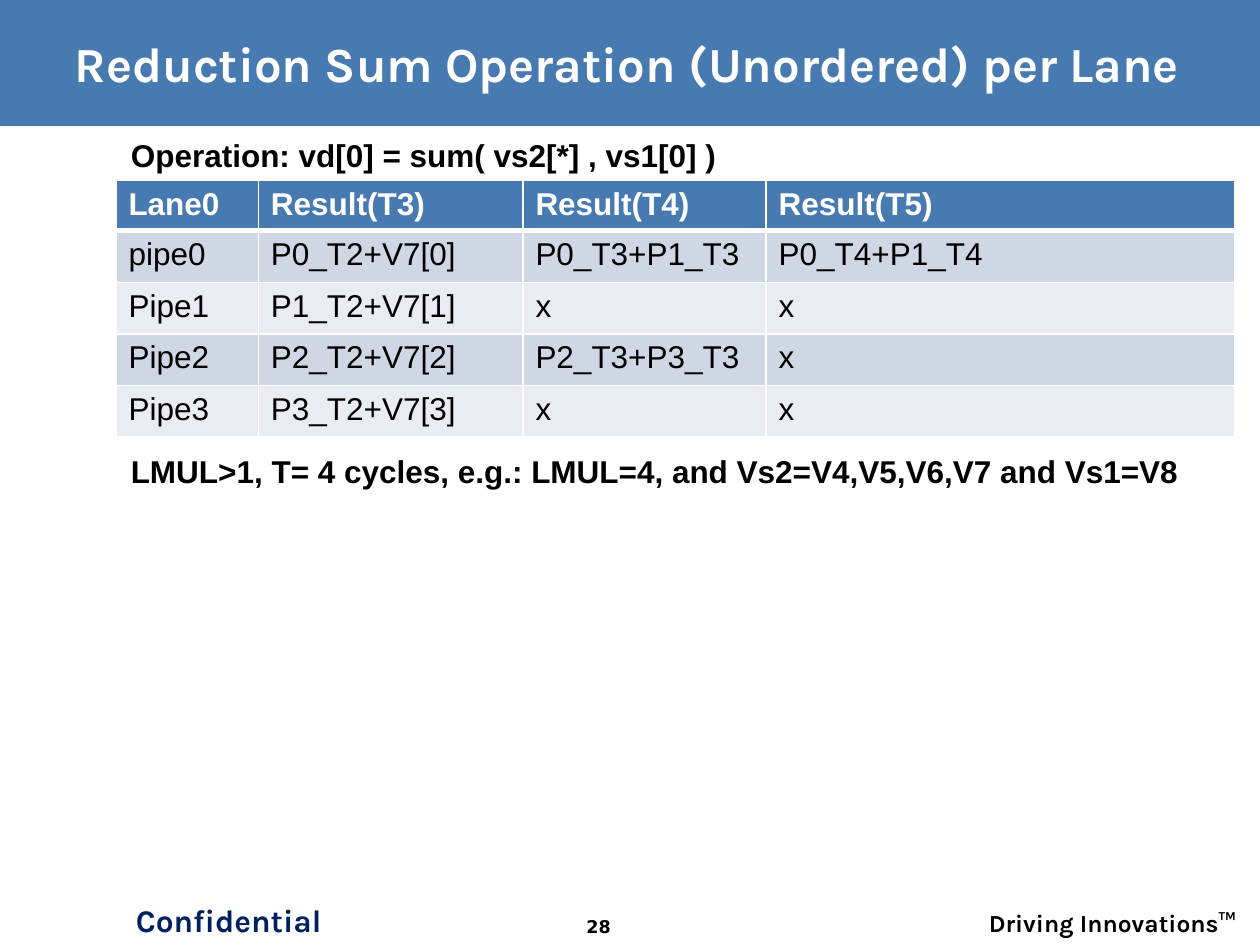
from dataclasses import dataclass

from lxml.etree import SubElement
from pptx import Presentation
from pptx.dml.color import RGBColor
from pptx.enum.shapes import MSO_SHAPE
from pptx.enum.text import MSO_ANCHOR, PP_ALIGN
from pptx.oxml import parse_xml
from pptx.oxml.ns import nsdecls, qn
from pptx.util import Inches, Pt


@dataclass(frozen=True)
class Theme:
    """Colours, fonts and type sizes of the slide."""
    blue: str = "477AB1"
    navy: str = "002060"
    white: str = "FFFFFF"
    black: str = "000000"
    bands: tuple = ("CFD7E4", "E9ECF2")
    heading_font: str = "Karla"
    body_font: str = "Arial"
    number_font: str = "DejaVu Sans"
    title_size: int = 28
    body_size: int = 18
    tagline_size: int = 14
    number_size: int = 10


THEME = Theme()
COLUMN_WIDTHS = (1.13, 2.1, 1.93, 3.72)
HEADER_HEIGHT, ROW_HEIGHT = 0.38, 0.41
ROWS = (
    ("Lane0", "Result(T3)", "Result(T4)", "Result(T5)"),
    ("pipe0", "P0_T2+V7[0]", "P0_T3+P1_T3", "P0_T4+P1_T4"),
    ("Pipe1", "P1_T2+V7[1]", "x", "x"),
    ("Pipe2", "P2_T2+V7[2]", "P2_T3+P3_T3", "x"),
    ("Pipe3", "P3_T2+V7[3]", "x", "x"),
)


def write(frame, text, size, font, color, bold=True, align=PP_ALIGN.LEFT):
    """Set one formatted line of text in a frame and return its run."""
    frame.text = text
    paragraph = frame.paragraphs[0]
    paragraph.alignment = align
    run = paragraph.runs[0]
    run.font.size = Pt(size)
    run.font.name = font
    run.font.bold = bold
    run.font.color.rgb = RGBColor.from_string(color)
    return run


def add_label(slide, box, text, size, font, color, align=PP_ALIGN.LEFT):
    """Add a wrapping text box with one bold line."""
    frame = slide.shapes.add_textbox(*map(Inches, box)).text_frame
    frame.word_wrap = True
    write(frame, text, size, font, color, align=align)


def add_header(slide, box, text):
    """Draw the banner in the box and set the shadowed title over it."""
    title = slide.shapes.title
    banner = slide.shapes.add_shape(MSO_SHAPE.RECTANGLE, *map(Inches, box))
    banner.shadow.inherit = False
    banner.fill.solid()
    banner.fill.fore_color.rgb = RGBColor.from_string(THEME.blue)
    banner.line.fill.background()
    title.element.addprevious(banner.element)

    left, top, width, height = box
    title.left, title.top = Inches(left + 0.22), Inches(top + 0.17)
    title.width, title.height = Inches(width - 0.49), Inches(height - 0.34)
    title.text_frame.vertical_anchor = MSO_ANCHOR.MIDDLE
    run = write(title.text_frame, text, THEME.title_size, THEME.heading_font,
                THEME.white, align=PP_ALIGN.CENTER)
    shadow = parse_xml(
        f'<a:effectLst {nsdecls("a")}><a:outerShdw dist="38100" dir="2700000">'
        f'<a:srgbClr val="{THEME.black}"/></a:outerShdw></a:effectLst>')
    run.font.fill
    run.font._element.find(qn("a:solidFill")).addnext(shadow)


def style_cell(cell, fill, bottom_width):
    """Give a cell white borders and a solid fill."""
    properties = cell._tc.get_or_add_tcPr()
    for side, width in (("L", 1), ("R", 1), ("T", 1), ("B", bottom_width)):
        line = SubElement(properties, qn(f"a:ln{side}"), w=str(Pt(width)))
        solid = SubElement(line, qn("a:solidFill"))
        SubElement(solid, qn("a:srgbClr"), val=THEME.white)
    cell.fill.solid()
    cell.fill.fore_color.rgb = RGBColor.from_string(fill)


def add_lane_table(slide, left, top):
    """Add the table of pipe results with its top left corner given."""
    height = HEADER_HEIGHT + ROW_HEIGHT * (len(ROWS) - 1)
    table = slide.shapes.add_table(
        len(ROWS), len(COLUMN_WIDTHS), Inches(left), Inches(top),
        Inches(sum(COLUMN_WIDTHS)), Inches(height)).table
    for column, width in zip(table.columns, COLUMN_WIDTHS):
        column.width = Inches(width)
    for index, values in enumerate(ROWS):
        header = index == 0
        table.rows[index].height = Inches(HEADER_HEIGHT if header else ROW_HEIGHT)
        fill = THEME.blue if header else THEME.bands[(index - 1) % 2]
        color = THEME.white if header else THEME.black
        for cell, value in zip(table.rows[index].cells, values):
            write(cell.text_frame, value, THEME.body_size, THEME.body_font,
                  color, bold=header)
            style_cell(cell, fill, 3 if header else 1)


def add_body(slide, left, top):
    """Place the operation line, the table and the closing line."""
    style = (THEME.body_size, THEME.body_font, THEME.black)
    add_label(slide, (left, top, 4.92, 0.4),
              "Operation: vd[0] = sum( vs2[*] , vs1[0] )", *style)
    add_lane_table(slide, left - 0.02, top + 0.4)
    add_label(slide, (left, top + 2.51, 8.86, 0.4),
              "LMUL>1, T= 4 cycles, e.g.: LMUL=4, and Vs2=V4,V5,V6,V7 and Vs1=V8",
              *style)


def add_footer(slide, left, top):
    """Place the confidentiality mark, page number and tagline."""
    add_label(slide, (left, top, 1.75, 0.42), "Confidential", THEME.body_size,
              THEME.heading_font, THEME.navy, PP_ALIGN.CENTER)
    add_label(slide, (left + 3.35, top + 0.12, 0.92, 0.28), "28",
              THEME.number_size, THEME.number_font, THEME.black, PP_ALIGN.CENTER)
    add_label(slide, (left + 6.6, top + 0.06, 2.37, 0.27), "Driving Innovations™",
              THEME.tagline_size, THEME.heading_font, THEME.black, PP_ALIGN.RIGHT)


def main():
    """Build and save the slide."""
    presentation = Presentation()
    presentation.slide_width, presentation.slide_height = Inches(10), Inches(7.5)
    slide = presentation.slides.add_slide(presentation.slide_layouts[5])
    add_header(slide, (0, 0, 10, 1), "Reduction Sum Operation (Unordered) per Lane")
    add_body(slide, 0.94, 1.03)
    add_footer(slide, 0.94, 7.1)
    presentation.save("out.pptx")


if __name__ == "__main__":
    main()
